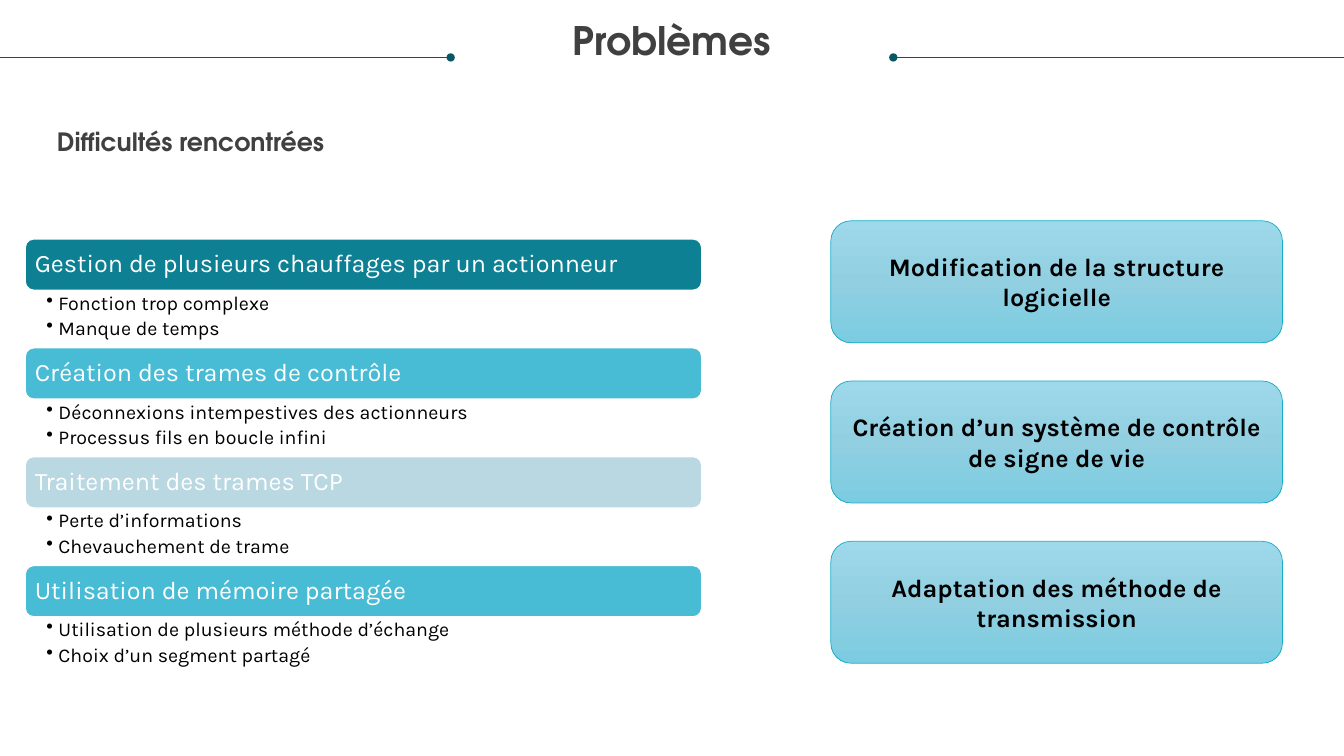
from lxml.etree import SubElement
from pptx import Presentation
from pptx.dml.color import RGBColor
from pptx.enum.shapes import MSO_CONNECTOR as Connector, MSO_SHAPE as Preset
from pptx.enum.text import MSO_ANCHOR as Anchor, MSO_AUTO_SIZE as AutoSize, PP_ALIGN as Align
from pptx.oxml.ns import qn
from pptx.util import Inches, Pt

WHITE = RGBColor(0xFF, 0xFF, 0xFF)
BLACK = RGBColor(0x00, 0x00, 0x00)
GREY = RGBColor(0x40, 0x40, 0x40)
DARK_TEAL = RGBColor(0x08, 0x57, 0x64)
TEAL = RGBColor(0x0D, 0x81, 0x93)
BLUE = RGBColor(0x48, 0xBB, 0xD5)
PALE_BLUE = RGBColor(0xB9, 0xD8, 0xE2)
CARD_EDGE = RGBColor(0x11, 0xAE, 0xC7)
CARD_STOPS = (
    (0, RGBColor(0x9E, 0xD9, 0xEB)),
    (50, RGBColor(0x91, 0xCF, 0xE1)),
    (100, RGBColor(0x7C, 0xCC, 0xE1)),
)

HEADING_FONT = "TeX Gyre Adventor"
BODY_FONT = "Karla"

DIFFICULTIES = (
    ("Gestion de plusieurs chauffages par un actionneur", TEAL,
     ("Fonction trop complexe", "Manque de temps")),
    ("Création des trames de contrôle", BLUE,
     ("Déconnexions intempestives des actionneurs", "Processus fils en boucle infini")),
    ("Traitement des trames TCP", PALE_BLUE,
     ("Perte d’informations", "Chevauchement de trame")),
    ("Utilisation de mémoire partagée", BLUE,
     ("Utilisation de plusieurs méthode d’échange", "Choix d’un segment partagé")),
)
SOLUTIONS = (
    "Modification de la structure logicielle",
    "Création d’un système de contrôle de signe de vie",
    "Adaptation des méthode de transmission",
)


def set_all(target, values):
    for name, value in values.items():
        setattr(target, name, value)


def set_frame(frame, anchor, insets):
    left, top, right, bottom = (Inches(inset) for inset in insets)
    set_all(frame, dict(
        auto_size=AutoSize.NONE, word_wrap=True, vertical_anchor=anchor,
        margin_left=left, margin_top=top, margin_right=right, margin_bottom=bottom))


def write_para(para, text, font, size, color, bold=False, align=Align.LEFT, spacing=0.9):
    set_all(para, dict(alignment=align, line_spacing=spacing))
    span = para.add_run()
    span.text = text
    set_all(span.font, dict(name=font, size=Pt(size), bold=bold))
    span.font.color.rgb = color


def add_bullet(para):
    properties = para._p.get_or_add_pPr()
    properties.set("marL", str(Inches(0.12)))
    properties.set("indent", str(Inches(-0.12)))
    SubElement(properties, qn("a:buChar")).set("char", "•")


def place_heading(box, text, size, left, top, width, height):
    set_all(box, dict(left=Inches(left), top=Inches(top),
                      width=Inches(width), height=Inches(height)))
    set_frame(box.text_frame, Anchor.TOP, (0, 0, 0, 0))
    write_para(box.text_frame.paragraphs[0], text, HEADING_FONT, size, GREY,
               bold=True, align=Align.CENTER)


def add_dotted_line(slide, dot, end):
    y = Inches(0.57)
    line = slide.shapes.add_connector(Connector.STRAIGHT, Inches(dot), y, Inches(end), y)
    line.line.color.rgb = DARK_TEAL
    line.line.width = Pt(0.5)
    SubElement(line.line._get_or_add_ln(), qn("a:headEnd")).set("type", "oval")
    SubElement(line._element.spPr, qn("a:effectLst"))


def add_rounded(slide, left, top, width, height, edge, edge_width):
    box = slide.shapes.add_shape(Preset.ROUNDED_RECTANGLE, Inches(left), Inches(top),
                                 Inches(width), Inches(height))
    box.shadow.inherit = False
    box.line.color.rgb = edge
    box.line.width = Pt(edge_width)
    return box


def add_difficulty(slide, top, heading, color, points):
    left, width, bar_height = 0.25, 6.71, 0.51
    bar = add_rounded(slide, left, top, width, bar_height, WHITE, 1)
    bar.fill.solid()
    bar.fill.fore_color.rgb = color
    set_frame(bar.text_frame, Anchor.MIDDLE, (0.07, 0.05, 0.07, 0.05))
    write_para(bar.text_frame.paragraphs[0], heading, BODY_FONT, 18, WHITE)

    box = slide.shapes.add_textbox(Inches(left), Inches(top + bar_height),
                                   Inches(width), Inches(0.57))
    frame = box.text_frame
    set_frame(frame, Anchor.TOP, (0.21, 0.03, 0.14, 0.03))
    for index, point in enumerate(points):
        para = frame.add_paragraph() if index else frame.paragraphs[0]
        write_para(para, point, BODY_FONT, 14, BLACK)
        para.space_after = Pt(3)
        add_bullet(para)


def fill_gradient(box, stops):
    box.fill.gradient()
    box.fill.gradient_angle = 270
    stop_list = box._element.spPr.find(".//" + qn("a:gsLst"))
    for stop in list(stop_list):
        stop_list.remove(stop)
    for position, color in stops:
        stop = SubElement(stop_list, qn("a:gs"))
        stop.set("pos", str(position * 1000))
        SubElement(stop, qn("a:srgbClr")).set("val", str(color))


def add_solution(slide, top, text):
    card = add_rounded(slide, 8.24, top, 4.48, 1.21, CARD_EDGE, 0.5)
    fill_gradient(card, CARD_STOPS)
    set_frame(card.text_frame, Anchor.MIDDLE, (0.1, 0.05, 0.1, 0.05))
    write_para(card.text_frame.paragraphs[0], text, BODY_FONT, 18, BLACK,
               bold=True, align=Align.CENTER, spacing=1.0)


def main():
    deck = Presentation()
    set_all(deck, dict(slide_width=Inches(13.33), slide_height=Inches(7.5)))
    slide = deck.slides.add_slide(deck.slide_layouts[5])

    place_heading(slide.shapes.title, "Problèmes", 28, 0.25, 0.21, 12.83, 0.73)
    add_dotted_line(slide, 4.47, 0)
    add_dotted_line(slide, 8.86, 13.33)
    subtitle = slide.shapes.add_textbox(0, 0, 0, 0)
    place_heading(subtitle, "Difficultés rencontrées", 18, 0.25, 1.29, 3.28, 0.27)

    for row, (heading, color, points) in enumerate(DIFFICULTIES):
        add_difficulty(slide, 2.37 + 1.08 * row, heading, color, points)
    for row, text in enumerate(SOLUTIONS):
        add_solution(slide, 2.19 + 1.59 * row, text)

    deck.save("out.pptx")


if __name__ == "__main__":
    main()
